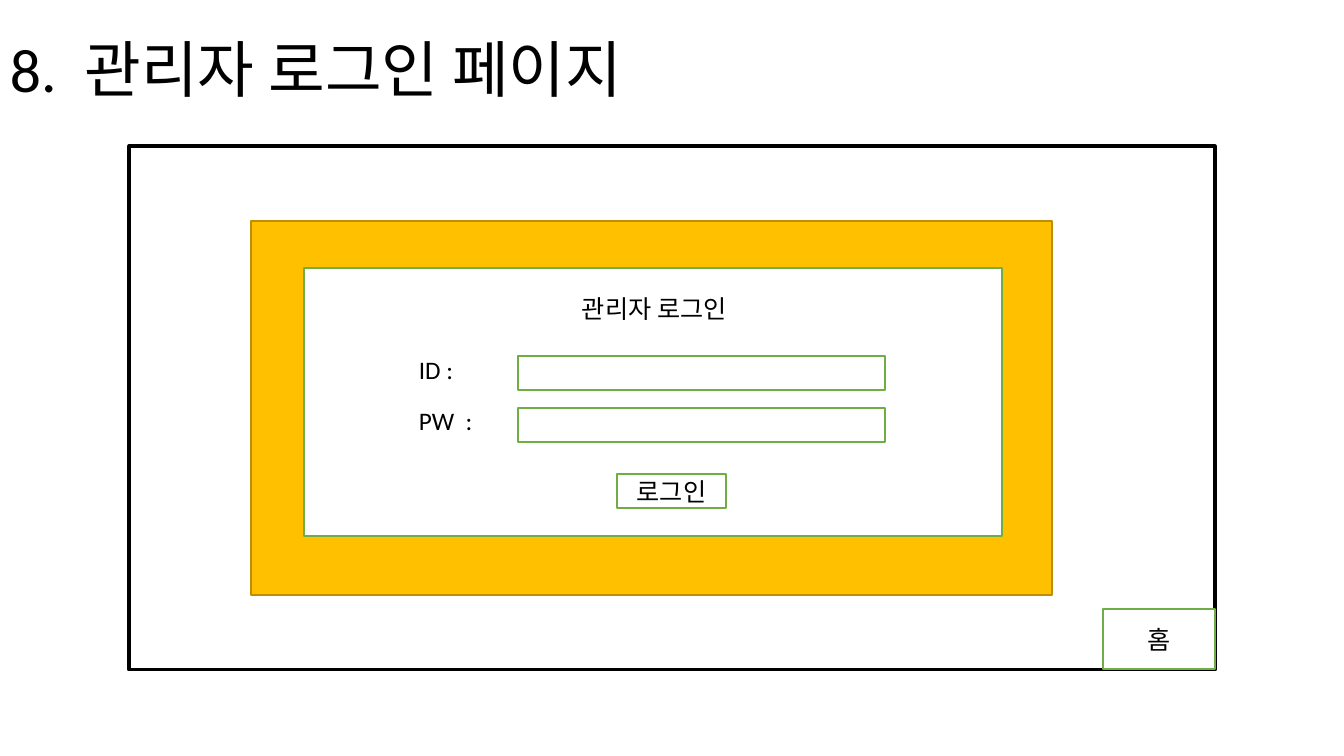
import pptx
import pptx.util
import pptx.dml.color
import pptx.enum.shapes
import pptx.enum.text

EMU_PER_PIXEL = 914400 / 100.8
THEME = {
    "font": "Calibri", "title_size": 44, "body_size": 18,
    "ink": "000000", "paper": "FFFFFF", "green": "70AD47",
    "amber": "FFC000", "amber_edge": "BD8E00",
    "thin": 1, "thick": 2.25,
}
PP_ALIGN = pptx.enum.text.PP_ALIGN
MSO_ANCHOR = pptx.enum.text.MSO_ANCHOR


def write(shape, wording, size="body_size", align=PP_ALIGN.LEFT, anchor=MSO_ANCHOR.TOP):
    """Put one line of styled text into a shape and return its paragraph."""
    frame = shape.text_frame
    frame.word_wrap = True
    frame.vertical_anchor = anchor
    paragraph = frame.paragraphs[0]
    paragraph.alignment = align
    run = paragraph.add_run()
    run.text = wording
    run.font.name = THEME["font"]
    run.font.size = pptx.util.Pt(THEME[size])
    run.font.color.rgb = pptx.dml.color.RGBColor.from_string(THEME["ink"])
    return paragraph


def add_box(box, fill="paper", line="green", weight="thin", wording=None):
    """Draw an outlined rectangle given in pixels, with optional centred text."""
    shape = slide.shapes.add_shape(
        pptx.enum.shapes.MSO_SHAPE.RECTANGLE, *[round(v * EMU_PER_PIXEL) for v in box])
    shape.shadow.inherit = False
    if fill:
        shape.fill.solid()
        shape.fill.fore_color.rgb = pptx.dml.color.RGBColor.from_string(THEME[fill])
    else:
        shape.fill.background()
    shape.line.color.rgb = pptx.dml.color.RGBColor.from_string(THEME[line])
    shape.line.width = pptx.util.Pt(THEME[weight])
    if wording:
        write(shape, wording, align=PP_ALIGN.CENTER, anchor=MSO_ANCHOR.MIDDLE)


deck = pptx.Presentation()
deck.slide_width = round(1344 * EMU_PER_PIXEL)
deck.slide_height = round(756 * EMU_PER_PIXEL)
slide = deck.slides.add_slide(deck.slide_layouts[6])

# Page title
title = slide.shapes.add_textbox(0, 0, *[round(v * EMU_PER_PIXEL) for v in (1159, 146)])
write(title, "8.  관리자 로그인 페이지", "title_size", anchor=MSO_ANCHOR.MIDDLE).line_spacing = 0.9

# Page frame, home button and login panel
add_box((129, 146, 1086, 524), fill=None, line="ink", weight="thick")
add_box((1103, 609, 112, 60), wording="홈")
add_box((251, 221, 801, 374), fill="amber", line="amber_edge")
add_box((304, 268, 698, 268))

# Panel heading and field labels
for wording, left, top in (("관리자 로그인", 572, 288), ("ID : ", 409, 349), ("PW  : ", 409, 400)):
    label = slide.shapes.add_textbox(*[round(v * EMU_PER_PIXEL) for v in (left, top, 243, 40)])
    write(label, wording)

# Input fields and login button
for row in range(2):
    add_box((518, 356 + 52 * row, 367, 34))
add_box((617, 474, 109, 34), wording="로그인")

deck.save("out.pptx")
